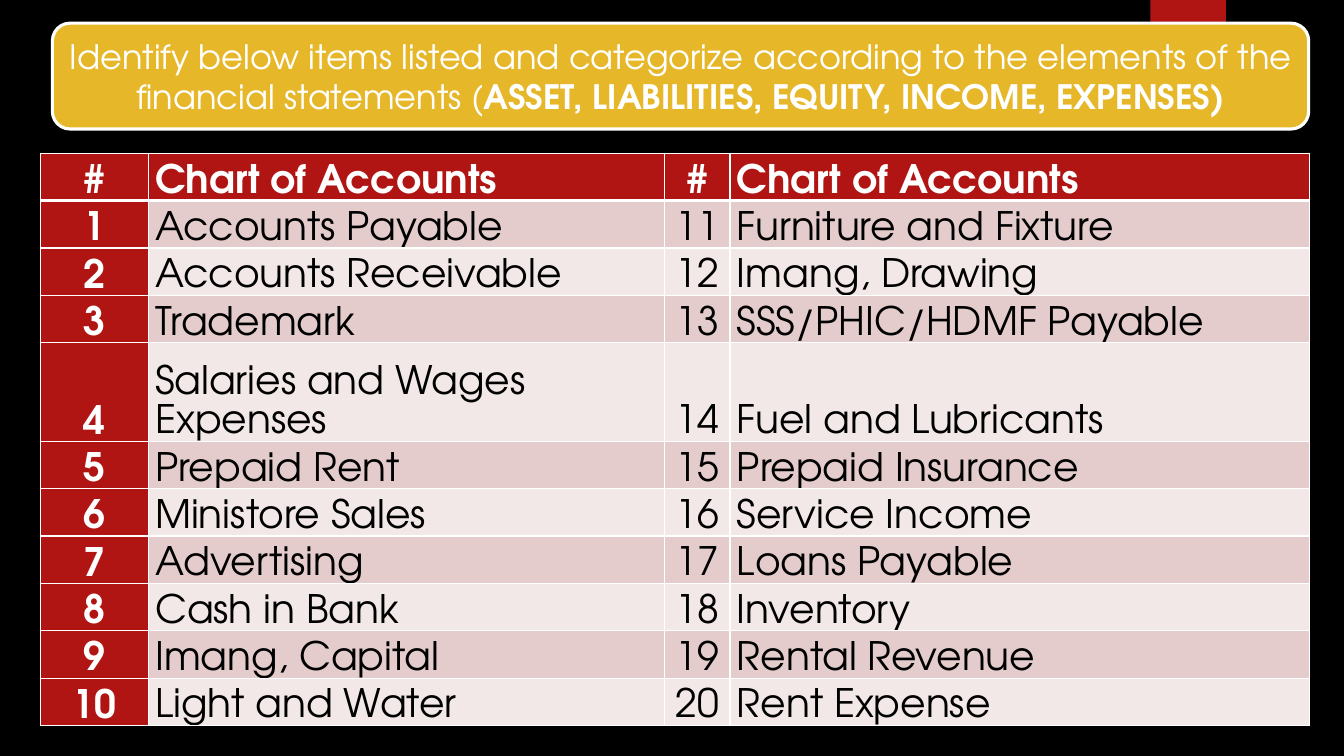
"""Build a slide with a table of accounts to sort by financial statement element."""
from lxml import etree
from pptx import Presentation
from pptx.dml.color import RGBColor
from pptx.enum.shapes import MSO_SHAPE
from pptx.enum.text import MSO_ANCHOR, PP_ALIGN
from pptx.oxml.ns import qn
from pptx.util import Inches, Pt

RECT = MSO_SHAPE.RECTANGLE
ROUND = MSO_SHAPE.ROUNDED_RECTANGLE
LEFT, CENTER = PP_ALIGN.LEFT, PP_ALIGN.CENTER
BOTTOM, MIDDLE = MSO_ANCHOR.BOTTOM, MSO_ANCHOR.MIDDLE
FONT = "TeX Gyre Adventor"
COLORS = {"black": "000000", "white": "FFFFFF", "red": "B01513",
          "gold": "E6B729", "dark": "E4CCCC", "light": "F2E8E7"}
HEAD = "Chart of Accounts"
FIRST = ["Accounts Payable", "Accounts Receivable", "Trademark",
         "Salaries and Wages Expenses", "Prepaid Rent", "Ministore Sales",
         "Advertising", "Cash in Bank", "Imang, Capital", "Light and Water"]
SECOND = ["Furniture and Fixture", "Imang, Drawing", "SSS/PHIC/HDMF Payable",
          "Fuel and Lubricants", "Prepaid Insurance", "Service Income",
          "Loans Payable", "Inventory", "Rental Revenue", "Rent Expense"]


def paint(fill, name):
    fill.solid()
    fill.fore_color.rgb = RGBColor.from_string(COLORS[name])


def write(para, text, size=28, color="white", bold=False, align=CENTER):
    para.alignment = align
    run = para.add_run()
    run.text = text
    run.font.name = FONT
    run.font.size = Pt(size)
    run.font.bold = bold
    run.font.color.rgb = RGBColor.from_string(COLORS[color])


prs = Presentation()
prs.slide_width, prs.slide_height = Inches(13.33), Inches(7.5)
slide = prs.slides.add_slide(prs.slide_layouts[6])
paint(slide.background.fill, "black")

tab = slide.shapes.add_shape(RECT, Inches(11.41), 0, Inches(0.75), Inches(1.25))
tab.shadow.inherit = False
paint(tab.fill, "red")
tab.line.fill.background()

rows = [["#", HEAD, "#", HEAD]]
for num, (one, two) in enumerate(zip(FIRST, SECOND), 1):
    rows.append([str(num), one, str(num + 10), two])

table = slide.shapes.add_table(len(rows), 4, Inches(0.4), Inches(1.52),
                               Inches(12.58), Inches(5.72)).table
for col, width in zip(table.columns, [1.07, 5.12, 0.65, 5.75]):
    col.width = Inches(width)

for r, texts in enumerate(rows):
    table.rows[r].height = Inches(0.98 if r == 4 else 0.47)
    for c, text in enumerate(texts):
        cell = table.cell(r, c)
        strong = r == 0 or c == 0
        paint(cell.fill, "red" if strong else "dark" if r % 2 else "light")
        cell.vertical_anchor = BOTTOM
        cell.margin_left = cell.margin_right = Inches(0.07)
        cell.margin_top = cell.margin_bottom = 0
        para = cell.text_frame.paragraphs[0]
        para.line_spacing = 1.07
        para.space_after = Pt(8)
        write(para, text, color="white" if strong else "black", bold=strong,
              align=LEFT if c % 2 else CENTER)
        props = cell._tc.get_or_add_tcPr()
        for i, side in enumerate(["lnL", "lnR", "lnT", "lnB"]):
            thick = (side == "lnB" and r == 0) or (side == "lnT" and r == 1)
            edge = etree.Element(qn("a:" + side), w=str(Pt(3 if thick else 1)))
            solid = etree.SubElement(edge, qn("a:solidFill"))
            etree.SubElement(solid, qn("a:srgbClr"), val=COLORS["white"])
            props.insert(i, edge)

title = slide.shapes.add_shape(ROUND, Inches(0.52), Inches(0.23),
                               Inches(12.46), Inches(1.05))
title.shadow.inherit = False
paint(title.fill, "gold")
paint(title.line.fill, "white")
title.line.width = Pt(2.25)
frame = title.text_frame
frame.word_wrap = True
frame.vertical_anchor = MIDDLE
para = frame.paragraphs[0]
write(para, "Identify below items listed and categorize according to the "
      "elements of the financial statements (", size=24)
write(para, "ASSET, LIABILITIES, EQUITY, INCOME, EXPENSES)", size=24, bold=True)

prs.save("out.pptx")
